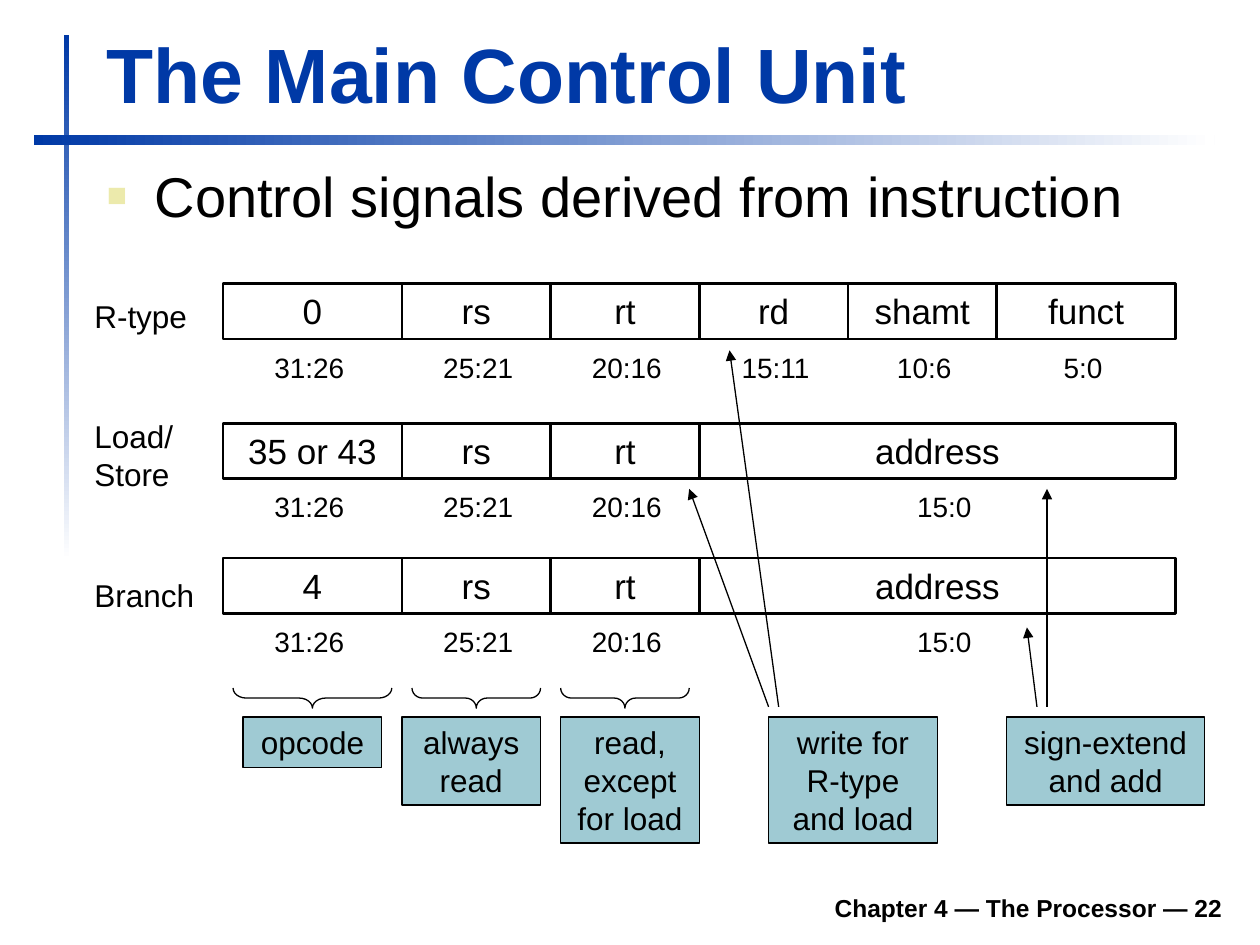
from dataclasses import dataclass

from lxml import etree
from pptx import Presentation
from pptx.dml.color import RGBColor
from pptx.enum.shapes import MSO_CONNECTOR, MSO_SHAPE
from pptx.enum.text import MSO_ANCHOR, PP_ALIGN
from pptx.oxml.ns import qn
from pptx.util import Inches, Pt

BLACK = RGBColor(0x00, 0x00, 0x00)
WHITE = RGBColor(0xFF, 0xFF, 0xFF)
BLUE = RGBColor(0x00, 0x39, 0xA6)
TEAL = RGBColor(0x9F, 0xCA, 0xD3)
BULLET_COLOR = "ECEAAC"
FONT = "Arial"

CELL_HEIGHT = 0.44
BITS_OFFSET = 0.48
NOTE_TOP = 5.69
ARROW_START = 5.61


@dataclass(frozen=True)
class Field:
    left: float
    width: float
    bits: str
    bits_center: float


@dataclass(frozen=True)
class Format:
    label: str
    label_top: float
    label_width: float
    label_height: float
    top: float
    names: tuple[str, ...]
    fields: tuple[Field, ...]


@dataclass(frozen=True)
class Note:
    text: str
    left: float
    width: float
    height: float


@dataclass(frozen=True)
class Arrow:
    start_x: float
    end_x: float
    end_y: float


OPCODE = Field(1.77, 1.42, "31:26", 2.455)
RS = Field(3.19, 1.18, "25:21", 3.795)
RT = Field(4.37, 1.18, "20:16", 4.975)
RD = Field(5.55, 1.18, "15:11", 6.155)
SHAMT = Field(6.73, 1.18, "10:6", 7.335)
FUNCT = Field(7.91, 1.42, "5:0", 8.595)
ADDRESS = Field(5.55, 3.78, "15:0", 7.495)

REGISTER_FIELDS = (OPCODE, RS, RT, RD, SHAMT, FUNCT)
ADDRESS_FIELDS = (OPCODE, RS, RT, ADDRESS)

FORMATS = (
    Format("R-type", 2.31, 0.95, 0.4, 2.25,
           ("0", "rs", "rt", "rd", "shamt", "funct"), REGISTER_FIELDS),
    Format("Load/\vStore", 3.26, 0.85, 0.7, 3.36,
           ("35 or 43", "rs", "rt", "address"), ADDRESS_FIELDS),
    Format("Branch", 4.52, 1.02, 0.4, 4.43,
           ("4", "rs", "rt", "address"), ADDRESS_FIELDS),
)

NOTES = (
    Note("opcode", 1.93, 1.1, 0.4),
    Note("always read", 3.19, 1.1, 0.7),
    Note("read, except for load", 4.45, 1.1, 1.0),
    Note("write for R-type and load", 6.1, 1.34, 1.0),
    Note("sign-extend and add", 7.99, 1.57, 0.7),
)

ARROWS = (
    Arrow(6.1, 5.47, 3.88),
    Arrow(6.18, 5.79, 2.78),
    Arrow(8.23, 8.15, 4.98),
    Arrow(8.31, 8.31, 3.88),
)


def write_text(shape, text: str, size: int, align=PP_ALIGN.LEFT, color=BLACK,
               bold=False, anchor=MSO_ANCHOR.TOP, wrap=True):
    frame = shape.text_frame
    frame.word_wrap = wrap
    frame.vertical_anchor = anchor
    para = frame.paragraphs[0]
    para.text = text
    para.alignment = align
    for span in para.runs:
        span.font.name = FONT
        span.font.size = Pt(size)
        span.font.bold = bold
        span.font.color.rgb = color


def add_text(page, left: float, top: float, width: float, height: float,
             text: str, size: int, **style):
    box = page.shapes.add_textbox(Inches(left), Inches(top), Inches(width), Inches(height))
    write_text(box, text, size, **style)
    return box


def add_box(page, left: float, top: float, width: float, height: float,
            line_width: float, kind=MSO_SHAPE.RECTANGLE):
    """Add an unfilled shape with a black outline and no shadow."""
    box = page.shapes.add_shape(kind, Inches(left), Inches(top), Inches(width), Inches(height))
    box.shadow.inherit = False
    box.fill.background()
    box.line.color.rgb = BLACK
    box.line.width = Pt(line_width)
    return box


def add_fading_bar(page, left: float, top: float, width: float, height: float, angle: int):
    bar = add_box(page, left, top, width, height, 0.75)
    bar.line.fill.background()
    bar.fill.gradient()
    bar.fill.gradient_angle = angle
    for stop, color in zip(bar.fill.gradient_stops, (BLUE, WHITE)):
        stop.color.rgb = color


def add_bullet(para):
    properties = para._p.get_or_add_pPr()
    properties.set("marL", str(Inches(0.38)))
    properties.set("indent", str(Inches(-0.38)))
    color = etree.SubElement(properties, qn("a:buClr"))
    etree.SubElement(color, qn("a:srgbClr"), val=BULLET_COLOR)
    etree.SubElement(properties, qn("a:buSzPct"), val="60000")
    etree.SubElement(properties, qn("a:buFont"), typeface=FONT)
    etree.SubElement(properties, qn("a:buChar"), char="■")


def add_format(page, row: Format):
    """Draw one instruction format: row label, field cells and bit ranges."""
    for name, field in zip(row.names, row.fields):
        cell = add_box(page, field.left, row.top, field.width, CELL_HEIGHT, 1.5)
        write_text(cell, name, 20, align=PP_ALIGN.CENTER)
        bits_width = 0.18 + 0.12 * len(field.bits)
        add_text(page, field.bits_center - bits_width / 2, row.top + BITS_OFFSET,
                 bits_width, 0.37, field.bits, 16, align=PP_ALIGN.CENTER, wrap=False)
    add_text(page, 0.65, row.label_top, row.label_width, row.label_height,
             row.label, 18, wrap=False)


def add_brace(page, field: Field):
    """Draw a brace under a field, pointing down."""
    depth, length = 0.16, field.width - 0.16
    center_x = field.left + field.width / 2
    brace = add_box(page, center_x - depth / 2, 5.54 - length / 2, depth, length,
                    0.75, MSO_SHAPE.LEFT_BRACE)
    brace.rotation = 270
    brace.adjustments[0] = length / 12 / depth


def add_note(page, note: Note):
    box = add_box(page, note.left, NOTE_TOP, note.width, note.height, 0.75)
    box.fill.solid()
    box.fill.fore_color.rgb = TEAL
    write_text(box, note.text, 18, align=PP_ALIGN.CENTER)


def add_arrow(page, arrow: Arrow):
    line = page.shapes.add_connector(
        MSO_CONNECTOR.STRAIGHT, Inches(arrow.start_x), Inches(ARROW_START),
        Inches(arrow.end_x), Inches(arrow.end_y))
    line.line.color.rgb = BLACK
    line.line.width = Pt(0.75)
    etree.SubElement(line.line._get_or_add_ln(), qn("a:tailEnd"), type="triangle")
    etree.SubElement(line._element.spPr, qn("a:effectLst"))


def main():
    deck = Presentation()
    deck.slide_width, deck.slide_height = Inches(10), Inches(7.5)
    page = deck.slides.add_slide(deck.slide_layouts[6])

    add_fading_bar(page, 0.51, 0.28, 0.04, 4.17, 270)
    add_fading_bar(page, 0.27, 1.07, 9.37, 0.08, 0)
    add_text(page, 1.85, 6.98, 7.95, 0.39, "Chapter 4 — The Processor — 22", 14,
             align=PP_ALIGN.RIGHT, bold=True, anchor=MSO_ANCHOR.BOTTOM)
    add_text(page, 0.75, 0.16, 9.03, 0.83, "The Main Control Unit", 44,
             color=BLUE, bold=True, anchor=MSO_ANCHOR.BOTTOM)
    body = add_text(page, 0.75, 1.23, 9.04, 0.76,
                    "Control signals derived from instruction", 32)
    add_bullet(body.text_frame.paragraphs[0])

    for row in FORMATS:
        add_format(page, row)
    for field in (OPCODE, RS, RT):
        add_brace(page, field)
    for note in NOTES:
        add_note(page, note)
    for arrow in ARROWS:
        add_arrow(page, arrow)

    deck.save("out.pptx")


if __name__ == "__main__":
    main()
